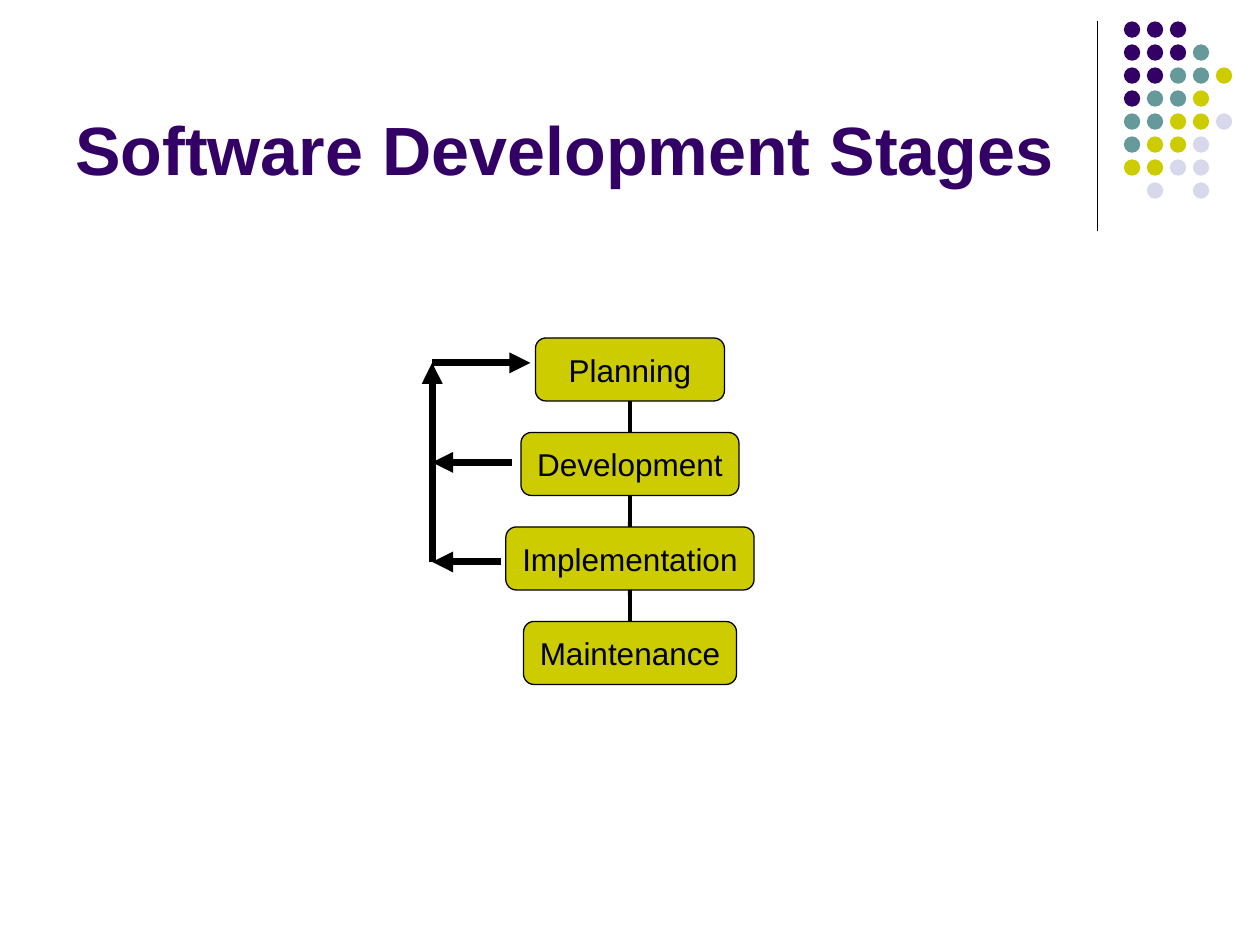
from dataclasses import dataclass
from itertools import pairwise

import pptx
import pptx.dml.color
import pptx.enum.shapes
import pptx.enum.text
import pptx.oxml
import pptx.oxml.ns
import pptx.util

COLUMNS, ROWS = 40, 30
SHAPES = pptx.enum.shapes.MSO_SHAPE
ALIGN = pptx.enum.text.PP_ALIGN
ANCHOR = pptx.enum.text.MSO_ANCHOR


@dataclass(frozen=True)
class Theme:
    font: str = "Arial"
    title_size: float = 39
    stage_size: float = 18
    ink: str = "000000"
    purple: str = "330066"
    teal: str = "669999"
    lime: str = "CCCC00"
    lavender: str = "D8D8EC"
    thin: float = 0.75
    link: float = 2.25
    arrow: float = 4


@dataclass(frozen=True)
class Stage:
    name: str
    columns: float


@dataclass(frozen=True)
class Arrow:
    start: tuple[float, float]
    end: tuple[float, float]


THEME = Theme()
DOT_COLORS = {"P": THEME.purple, "T": THEME.teal, "L": THEME.lime, "V": THEME.lavender}
DOT_PATTERN = ("PPP", "PPPT", "PPTTL", "PTTL", "TTLLV", "TLLV", "LLVV", " V V")
DOT_LEFT, DOT_TOP, DOT_PITCH, DOT_SIZE = 35.68, 0.68, 0.73, 0.52

STAGES = (
    Stage("Planning", 6),
    Stage("Development", 6.92),
    Stage("Implementation", 7.88),
    Stage("Maintenance", 6.76),
)
STAGE_CENTER, STAGE_TOP, STAGE_PITCH, STAGE_ROWS = 20, 10.73, 3, 2

RAIL = 13.72
PLANNING_ROW, DEVELOPMENT_ROW, IMPLEMENTATION_ROW = 11.52, 14.68, 17.84
ARROWS = (
    Arrow((16.24, DEVELOPMENT_ROW), (RAIL, DEVELOPMENT_ROW)),
    Arrow((15.92, IMPLEMENTATION_ROW), (RAIL, IMPLEMENTATION_ROW)),
    Arrow((RAIL, IMPLEMENTATION_ROW), (RAIL, PLANNING_ROW)),
    Arrow((RAIL, PLANNING_ROW), (16.84, PLANNING_ROW)),
)


def across(columns: float) -> int:
    return pptx.util.Inches(10 * columns / COLUMNS)


def down(rows: float) -> int:
    return pptx.util.Inches(7.5 * rows / ROWS)


def rgb(color: str) -> pptx.dml.color.RGBColor:
    return pptx.dml.color.RGBColor.from_string(color)


def write_text(shape, text: str, *, size: float, color: str, bold: bool = False,
               align=ALIGN.LEFT, anchor=ANCHOR.MIDDLE, wrap: bool = True) -> None:
    frame = shape.text_frame
    frame.word_wrap = wrap
    frame.vertical_anchor = anchor
    paragraph = frame.paragraphs[0]
    paragraph.alignment = align
    run = paragraph.add_run()
    run.text = text
    run.font.name = THEME.font
    run.font.size = pptx.util.Pt(size)
    run.font.bold = bold
    run.font.color.rgb = rgb(color)


def add_filled(slide, kind, left: float, top: float, width: float, height: float,
               fill: str, outline: str | None = None):
    shape = slide.shapes.add_shape(kind, across(left), down(top), across(width), down(height))
    shape.shadow.inherit = False
    shape.fill.solid()
    shape.fill.fore_color.rgb = rgb(fill)
    if outline:
        shape.line.color.rgb = rgb(outline)
        shape.line.width = pptx.util.Pt(THEME.thin)
    else:
        shape.line.fill.background()
    return shape


def add_line(slide, start: tuple[float, float], end: tuple[float, float],
             weight: float, arrowhead: bool = False):
    connector = slide.shapes.add_connector(
        pptx.enum.shapes.MSO_CONNECTOR.STRAIGHT,
        across(start[0]), down(start[1]), across(end[0]), down(end[1]))
    connector.line.color.rgb = rgb(THEME.ink)
    connector.line.width = pptx.util.Pt(weight)
    if arrowhead:
        head = pptx.oxml.parse_xml(
            f'<a:tailEnd {pptx.oxml.ns.nsdecls("a")} type="triangle"/>')
        connector.line._get_or_add_ln().append(head)
    connector._element.spPr.append(
        pptx.oxml.parse_xml(f'<a:effectLst {pptx.oxml.ns.nsdecls("a")}/>'))
    return connector


def draw_dots(slide) -> None:
    for row, pattern in enumerate(DOT_PATTERN):
        for column, key in enumerate(pattern):
            if key in DOT_COLORS:
                add_filled(slide, SHAPES.OVAL, DOT_LEFT + column * DOT_PITCH,
                           DOT_TOP + row * DOT_PITCH, DOT_SIZE, DOT_SIZE, DOT_COLORS[key])


def draw_title(slide) -> None:
    title = slide.shapes.add_textbox(across(2), down(0.52), across(33), down(5.68))
    write_text(title, "Software Development Stages", size=THEME.title_size,
               color=THEME.purple, bold=True, anchor=ANCHOR.BOTTOM)


def draw_stage(slide, stage: Stage, row: int):
    shape = add_filled(slide, SHAPES.ROUNDED_RECTANGLE, STAGE_CENTER - stage.columns / 2,
                       STAGE_TOP + row * STAGE_PITCH, stage.columns, STAGE_ROWS,
                       THEME.lime, THEME.ink)
    write_text(shape, stage.name, size=THEME.stage_size, color=THEME.ink,
               align=ALIGN.CENTER, wrap=False)
    return shape


def draw_stages(slide) -> None:
    boxes = [draw_stage(slide, stage, row) for row, stage in enumerate(STAGES)]
    for row, (upper, lower) in enumerate(pairwise(boxes)):
        bottom = STAGE_TOP + row * STAGE_PITCH + STAGE_ROWS
        link = add_line(slide, (STAGE_CENTER, bottom),
                        (STAGE_CENTER, STAGE_TOP + (row + 1) * STAGE_PITCH), THEME.link)
        link.begin_connect(upper, 2)
        link.end_connect(lower, 0)


def main() -> None:
    presentation = pptx.Presentation()
    presentation.slide_width = across(COLUMNS)
    presentation.slide_height = down(ROWS)
    slide = presentation.slides.add_slide(presentation.slide_layouts[6])
    add_line(slide, (34.84, 0.68), (34.84, 7.32), THEME.thin)
    draw_dots(slide)
    draw_title(slide)
    draw_stages(slide)
    for arrow in ARROWS:
        add_line(slide, arrow.start, arrow.end, THEME.arrow, arrowhead=True)
    presentation.save("out.pptx")


if __name__ == "__main__":
    main()
